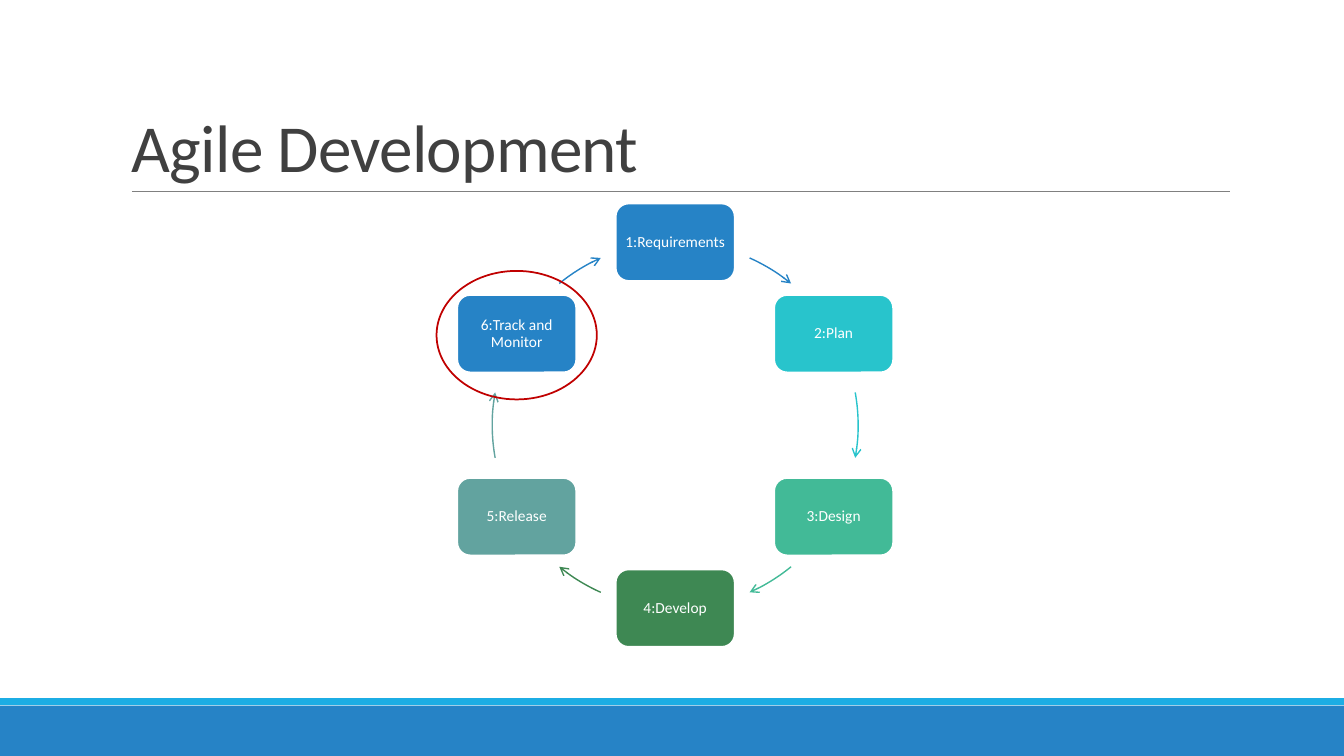
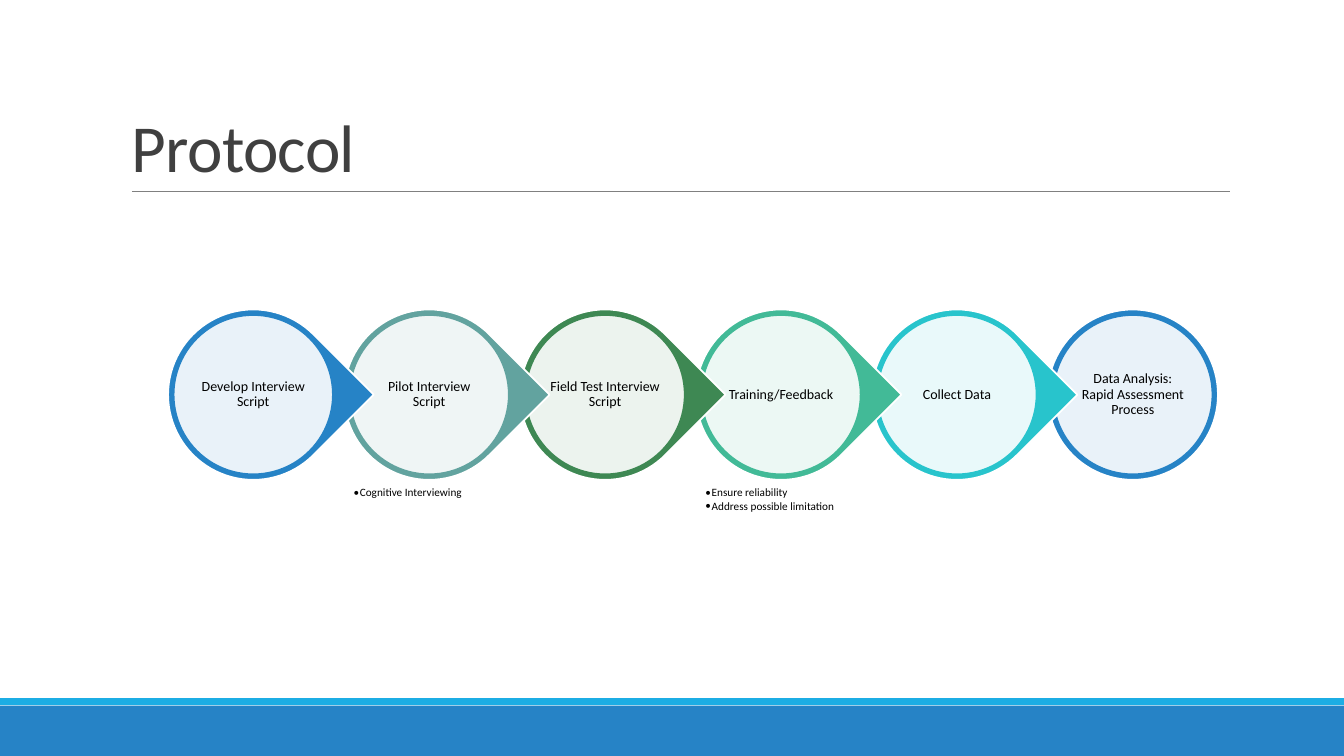
from dataclasses import dataclass
from math import cos, radians, sin

from lxml import etree
from pptx import Presentation
from pptx.dml.color import RGBColor
from pptx.enum.shapes import MSO_CONNECTOR, MSO_SHAPE
from pptx.enum.text import MSO_ANCHOR, PP_ALIGN
from pptx.oxml.ns import qn
from pptx.shapes.autoshape import Shape
from pptx.slide import Slide
from pptx.text.text import TextFrame, _Paragraph
from pptx.util import Pt

RECT, ROUNDED = MSO_SHAPE.RECTANGLE, MSO_SHAPE.ROUNDED_RECTANGLE
OVAL, TEAR, ARC = MSO_SHAPE.OVAL, MSO_SHAPE.TEAR, MSO_SHAPE.ARC
STRAIGHT = MSO_CONNECTOR.STRAIGHT
LEFT, CENTER = PP_ALIGN.LEFT, PP_ALIGN.CENTER
TOP, MIDDLE, BOTTOM = MSO_ANCHOR.TOP, MSO_ANCHOR.MIDDLE, MSO_ANCHOR.BOTTOM


@dataclass(frozen=True)
class Theme:
    font: str = "Calibri"
    title_size: float = 48
    node_size: float = 11
    step_size: float = 10
    detail_size: float = 8
    outline: float = 1.25
    white: str = "FFFFFF"
    black: str = "000000"
    title: str = "404040"
    rule: str = "808080"
    highlight: str = "C00000"
    blue: str = "2683C6"
    sky: str = "1CADE4"
    cyan: str = "28C4CC"
    mint: str = "42BA97"
    green: str = "3E8853"
    sage: str = "62A39F"


THEME = Theme()
SLIDE_W, SLIDE_H = 960, 540


@dataclass(frozen=True)
class Box:
    left: float
    top: float
    width: float
    height: float

    @classmethod
    def around(cls, x: float, y: float, width: float, height: float) -> "Box":
        return cls(x - width / 2, y - height / 2, width, height)

    def emu(self) -> tuple[int, int, int, int]:
        return Pt(self.left), Pt(self.top), Pt(self.width), Pt(self.height)


@dataclass(frozen=True)
class Phase:
    label: str
    color: str
    arrow_from: float  # degrees clockwise from the top of the ring
    arrow_to: float


@dataclass(frozen=True)
class Step:
    label: str
    color: str
    details: tuple[str, ...] = ()


PHASES = (
    Phase("1:Requirements", THEME.blue, 24, 39.3),
    Phase("2:Plan", THEME.cyan, 79.7, 100.3),
    Phase("3:Design", THEME.mint, 140.7, 156),
    Phase("4:Develop", THEME.green, 204, 219.3),
    Phase("5:Release", THEME.sage, 259.7, 280.3),
    Phase("6:Track and Monitor", THEME.blue, 320.7, 336),
)
STEPS = (
    Step("Develop Interview Script", THEME.blue),
    Step("Pilot Interview Script", THEME.sage, ("Cognitive Interviewing",)),
    Step("Field Test Interview Script", THEME.green),
    Step("Training/Feedback", THEME.mint,
         ("Ensure reliability", "Address possible limitation")),
    Step("Collect Data", THEME.cyan),
    Step("Data Analysis: Rapid Assessment Process", THEME.blue),
)


# Shared drawing functions
def rgb(color: str) -> RGBColor:
    return RGBColor.from_string(color)


def add_figure(slide: Slide, kind: int, box: Box, fill: str | None,
               line: str | None = None, width: float = THEME.outline) -> Shape:
    shape = slide.shapes.add_shape(kind, *box.emu())
    shape.shadow.inherit = False
    if fill:
        shape.fill.solid()
        shape.fill.fore_color.rgb = rgb(fill)
    else:
        shape.fill.background()
    if line:
        shape.line.color.rgb = rgb(line)
        shape.line.width = Pt(width)
    else:
        shape.line.fill.background()
    return shape


def set_frame(frame: TextFrame, anchor: int, inset_x: float, inset_y: float) -> None:
    frame.word_wrap = True
    frame.vertical_anchor = anchor
    frame.margin_left = frame.margin_right = Pt(inset_x)
    frame.margin_top = frame.margin_bottom = Pt(inset_y)


def write(paragraph: _Paragraph, text: str, size: float, color: str,
          align: int = CENTER, spacing: float = 0.9) -> None:
    paragraph.alignment = align
    paragraph.line_spacing = spacing
    run = paragraph.add_run()
    run.text = text
    run.font.name = THEME.font
    run.font.size = Pt(size)
    run.font.color.rgb = rgb(color)


def add_base(deck: Presentation, heading: str) -> Slide:
    slide = deck.slides.add_slide(deck.slide_layouts[6])
    # Footer bands
    add_figure(slide, RECT, Box(0, 504, SLIDE_W, 36), THEME.blue)
    add_figure(slide, RECT, Box(0, 498.7, SLIDE_W, 5), THEME.sky)
    # Rule under the title
    rule = slide.shapes.add_connector(STRAIGHT, Pt(94.3), Pt(136.8), Pt(878.6), Pt(136.8))
    rule.line.color.rgb = rgb(THEME.rule)
    rule.line.width = Pt(0.5)
    etree.SubElement(rule.element.spPr, qn("a:effectLst"))
    # Title
    frame = slide.shapes.add_textbox(*Box(87, 22.5, 792, 114.3).emu()).text_frame
    set_frame(frame, BOTTOM, 7.2, 3.6)
    title = frame.paragraphs[0]
    write(title, heading, THEME.title_size, THEME.title, LEFT, 0.85)
    title.runs[0].font._element.set("spc", "-50")
    return slide


# Slide 1: ring of phases
RING_X, RING_Y, RING_RADIUS = 482.3, 303.7, 130.7
ARC_UNIT = 0.6  # adjustment value of one degree


def add_arc_arrow(slide: Slide, phase: Phase) -> None:
    ring = Box.around(RING_X, RING_Y, 2 * RING_RADIUS, 2 * RING_RADIUS)
    arrow = add_figure(slide, ARC, ring, None, phase.color, 1)
    for i, angle in enumerate((phase.arrow_from, phase.arrow_to)):
        arrow.adjustments[i] = (angle - 90) % 360 * ARC_UNIT
    line = arrow.element.spPr.find(qn("a:ln"))
    etree.SubElement(line, qn("a:tailEnd"), type="arrow")


def build_cycle(deck: Presentation) -> None:
    slide = add_base(deck, "Agile Development")
    for i, phase in enumerate(PHASES):
        turn = radians(i * 360 / len(PHASES))
        x, y = RING_X + RING_RADIUS * sin(turn), RING_Y - RING_RADIUS * cos(turn)
        node = add_figure(slide, ROUNDED, Box.around(x, y, 85, 55.3),
                          phase.color, THEME.white)
        set_frame(node.text_frame, MIDDLE, 3, 3)
        write(node.text_frame.paragraphs[0], phase.label, THEME.node_size, THEME.white)
        add_arc_arrow(slide, phase)
    # Ring around the last phase
    add_figure(slide, OVAL, Box(311.8, 193.5, 114.5, 91.8), None, THEME.highlight)


# Slide 2: chain of steps
FIRST_X, STEP_Y, PITCH = 180.9, 281.9, 125.65
DROP, DISC = 121.7, 113.8


def add_details(slide: Slide, x: float, details: tuple[str, ...]) -> None:
    box = Box(x - DISC / 2, 345, DISC, 67)
    frame = slide.shapes.add_textbox(*box.emu()).text_frame
    set_frame(frame, TOP, 2.9, 2.9)
    for i, detail in enumerate(details):
        paragraph = frame.add_paragraph() if i else frame.paragraphs[0]
        write(paragraph, detail, THEME.detail_size, THEME.black, LEFT)
        paragraph.space_after = Pt(1.2)
        properties = paragraph._p.get_or_add_pPr()
        properties.set("marL", str(Pt(4.5)))
        properties.set("indent", str(-Pt(4.5)))
        etree.SubElement(properties, qn("a:buFont"), typeface=THEME.font)
        etree.SubElement(properties, qn("a:buChar"), char="•")


def add_step(slide: Slide, step: Step, x: float, is_last: bool) -> None:
    drop = add_figure(slide, OVAL if is_last else TEAR,
                      Box.around(x, STEP_Y, DROP, DROP), step.color, THEME.white)
    if not is_last:
        drop.rotation = 45
    disc = add_figure(slide, OVAL, Box.around(x, STEP_Y, DISC, DISC),
                      THEME.white, step.color)
    tint = disc.element.spPr.find(qn("a:solidFill")).find(qn("a:srgbClr"))
    etree.SubElement(tint, qn("a:alpha"), val="90000")
    set_frame(disc.text_frame, MIDDLE, 0.3, 0.3)
    write(disc.text_frame.paragraphs[0], step.label, THEME.step_size, THEME.black)
    if step.details:
        add_details(slide, x, step.details)


def build_protocol(deck: Presentation) -> None:
    slide = add_base(deck, "Protocol")
    last = len(STEPS) - 1
    # Right to left, so each point lies over the next step
    for i in range(last, -1, -1):
        add_step(slide, STEPS[i], FIRST_X + i * PITCH, i == last)


def main() -> None:
    deck = Presentation()
    deck.slide_width, deck.slide_height = Pt(SLIDE_W), Pt(SLIDE_H)
    build_cycle(deck)
    build_protocol(deck)
    deck.save("out.pptx")


if __name__ == "__main__":
    main()
